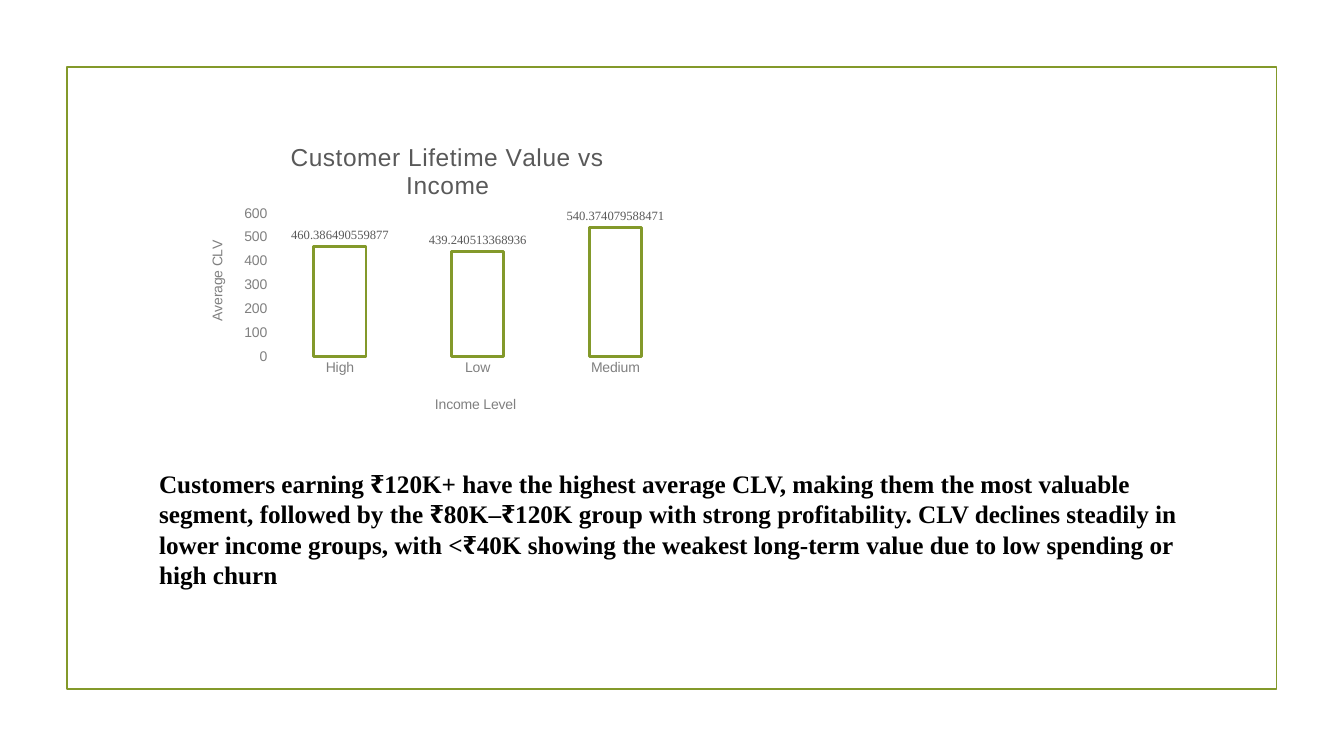
from lxml.etree import SubElement
from pptx import Presentation
from pptx.chart.data import CategoryChartData
from pptx.dml.color import RGBColor
from pptx.enum.chart import XL_CHART_TYPE, XL_LABEL_POSITION, XL_TICK_MARK
from pptx.enum.shapes import MSO_SHAPE
from pptx.oxml.ns import qn
from pptx.util import Cm, Pt

INCOME_CLV = {
    "High": 460.386490559877,
    "Low": 439.240513368936,
    "Medium": 540.374079588471,
}
FINDING = (
    "Customers earning ₹120K+ have the highest average CLV, making them the most "
    "valuable segment, followed by the ₹80K–₹120K group with strong profitability. "
    "CLV declines steadily in lower income groups, with <₹40K showing the weakest "
    "long-term value due to low spending or high churn"
)


def color(value):
    return RGBColor.from_string(value)


def style_font(font, size=10, name="Arial", fill="808080", bold=False):
    font.size, font.name, font.bold = Pt(size), name, bold
    font.color.rgb = color(fill)


def write(frame, text, spacing=None, **style):
    span = frame.paragraphs[0].add_run()
    span.text = text
    style_font(span.font, **style)
    if spacing is not None:
        span.font._element.set("spc", str(spacing))


def place(element, **fractions):
    """Set a manual chart layout, as fractions of the chart's size."""
    layout = element.find(qn("c:layout"))
    if layout is None:
        layout = SubElement(element, qn("c:layout"))
        text = element.find(qn("c:tx"))
        if text is not None:
            text.addnext(layout)
        else:
            element.insert(0, layout)
    for child in list(layout):
        layout.remove(child)
    manual = SubElement(layout, qn("c:manualLayout"))
    settings = {"xMode": "edge", "yMode": "edge", **fractions}
    if "w" in fractions:
        settings = {"layoutTarget": "inner", **settings}
    for tag, value in settings.items():
        SubElement(manual, qn(f"c:{tag}")).set("val", str(value))


class SlideBuilder:
    accent = "83992A"
    serif = "Times New Roman"

    def __init__(self, page):
        self.page = page

    def frame(self, left, top, width, height):
        box = self.page.shapes.add_shape(
            MSO_SHAPE.RECTANGLE, Cm(left), Cm(top), Cm(width), Cm(height))
        box.shadow.inherit = False
        box.fill.background()
        box.line.color.rgb = color(self.accent)
        box.line.width = Pt(1.25)

    def text(self, text, left, top, width, height, **style):
        box = self.page.shapes.add_textbox(Cm(left), Cm(top), Cm(width), Cm(height))
        box.text_frame.word_wrap = True
        write(box.text_frame, text, name=self.serif, **style)

    def axis(self, axis, title, x, y):
        write(axis.axis_title.text_frame, title)
        place(axis.axis_title._element, x=x, y=y)
        axis.major_tick_mark = axis.minor_tick_mark = XL_TICK_MARK.NONE
        axis.has_major_gridlines = False
        axis.format.line.fill.background()
        style_font(axis.tick_labels.font)

    def column_chart(self, values, title, left, top, width, height):
        data = CategoryChartData()
        data.categories = list(values)
        data.add_series("Series 1", list(values.values()))
        chart = self.page.shapes.add_chart(
            XL_CHART_TYPE.COLUMN_CLUSTERED,
            Cm(left), Cm(top), Cm(width), Cm(height), data).chart
        style_font(chart.font, name=self.serif, fill="000000")
        chart.has_legend = False

        # Title and plot area
        write(chart.chart_title.text_frame, title, size=17.5, fill="595959", spacing=50)
        place(chart.chart_title._element, x=0.19, y=0.06)
        chart.chart_title.include_in_layout = False
        place(chart._chartSpace.chart.plotArea, x=0.16, y=0.31, w=0.82, h=0.47)

        # Axes
        self.axis(chart.category_axis, "Income Level", 0.48, 0.9)
        self.axis(chart.value_axis, "Average CLV", 0.03, 0.39)
        scale = chart.value_axis
        scale.minimum_scale, scale.maximum_scale, scale.major_unit = 0, 600, 100
        scale.tick_labels.number_format = "0"
        scale.tick_labels.number_format_is_linked = False

        # Columns and labels
        plot = chart.plots[0]
        plot.gap_width, plot.overlap, plot.vary_by_categories = 164, -35, False
        columns = plot.series[0]
        columns.format.fill.background()
        columns.format.line.color.rgb = color(self.accent)
        columns.format.line.width = Pt(2)
        labels = columns.data_labels
        labels.show_value = True
        labels.position = XL_LABEL_POSITION.OUTSIDE_END
        style_font(labels.font, size=9, name=self.serif, fill="595959")


def main():
    deck = Presentation()
    deck.slide_width, deck.slide_height = Cm(33.87), Cm(19.05)
    page = deck.slides.add_slide(deck.slide_layouts[6])
    builder = SlideBuilder(page)

    builder.frame(1.69, 1.69, 30.48, 15.68)
    builder.column_chart(INCOME_CLV, "Customer Lifetime Value vs Income",
                         4.8, 3, 12.7, 7.67)
    builder.text(FINDING, 3.76, 11.68, 27, 3.33, size=18, fill="000000", bold=True)

    deck.save("out.pptx")


if __name__ == "__main__":
    main()
